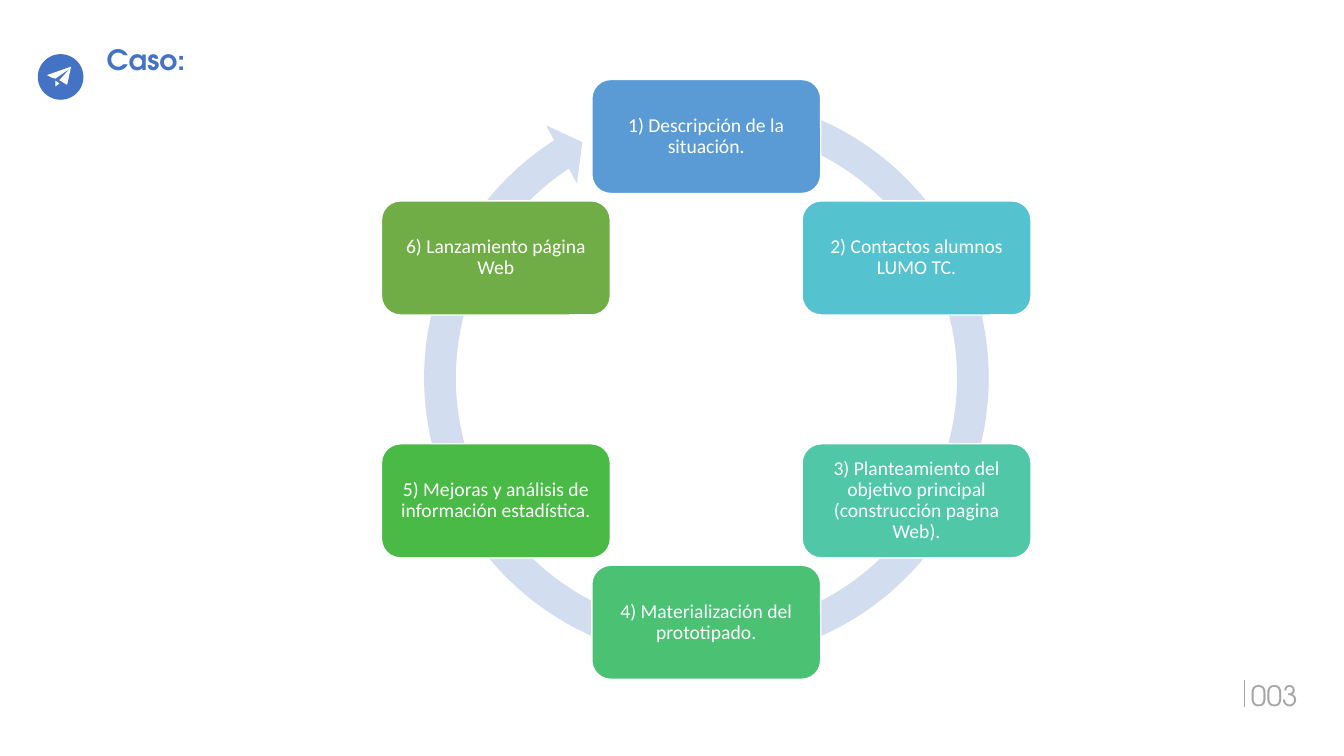
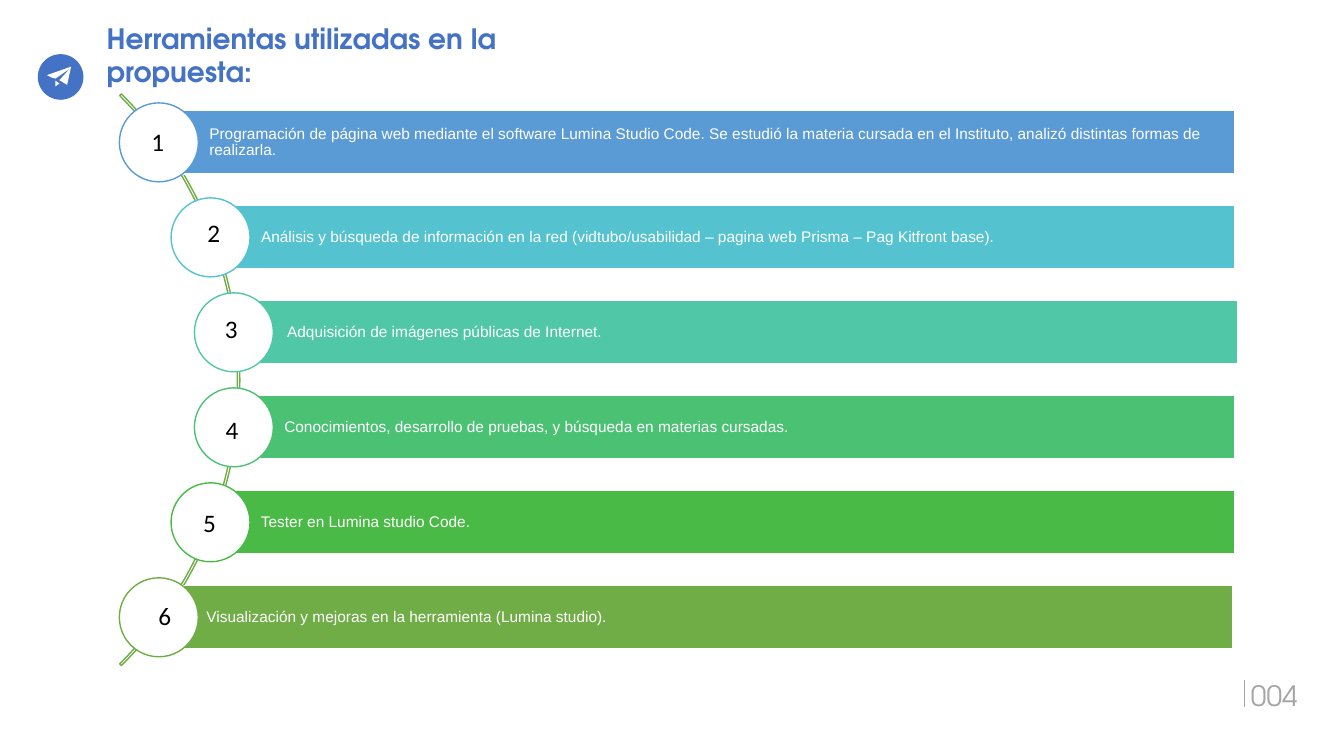
from math import cos, radians, sin, sqrt

from lxml.etree import SubElement
from pptx import Presentation
from pptx.dml.color import RGBColor
from pptx.enum.shapes import MSO_CONNECTOR, MSO_SHAPE as Shape
from pptx.enum.text import MSO_ANCHOR as Anchor, MSO_AUTO_SIZE as AutoSize, PP_ALIGN as Align
from pptx.oxml.ns import qn
from pptx.util import Pt

BLUE, GREY, WHITE, BLACK = "4472C4", "A5A5A5", "FFFFFF", "000000"
RING, ARC_GREEN = "D2DEEF", "70AD47"
STEP_COLOURS = ["5B9BD5", "55C3CF", "50C8A7", "4BC174", "4ABA46", "70AD47"]
HEADING_FONT, STEP_FONT, BAR_FONT = "TeX Gyre Adventor", "Calibri", "Arial"

PLANE_WING = [(50.8, 47.6), (33.5, 53.7), (36.7, 55.3), (39.6, 56.2),
              (50.2, 48.8), (42.4, 57.3), (48, 60.6)]
PLANE_TAIL = [(39.6, 57.6), (39.6, 61.8), (42.5, 59.6)]

STEPS = [
    "1) Descripción de la situación.",
    "2) Contactos alumnos LUMO TC.",
    "3) Planteamiento del objetivo principal (construcción pagina Web).",
    "4) Materialización del prototipado.",
    "5) Mejoras y análisis de información estadística.",
    "6) Lanzamiento página Web",
]

# Text, sideways shift of the bar, left and top of the number
TOOLS = [
    ("Programación de página web mediante el software Lumina Studio Code. Se estudió la "
     "materia cursada en el Instituto, analizó distintas formas de realizarla.", 0, 101, 86.5),
    ("Análisis y búsqueda de información en la red (vidtubo/usabilidad – pagina web Prisma "
     "– Pag Kitfront base).", 0, 141, 152),
    ("Adquisición de imágenes públicas de Internet.", 2, 153.5, 220.5),
    ("Conocimientos, desarrollo de pruebas, y búsqueda en materias cursadas.", 0, 154, 292.5),
    ("Tester en Lumina studio Code.", 0, 138, 358.5),
    ("Visualización y mejoras en la herramienta (Lumina studio).", -2, 106, 425),
]


def colour(hex_code):
    return RGBColor.from_string(hex_code)


def place(shape, left, top, width, height):
    shape.left, shape.top, shape.width, shape.height = map(Pt, (left, top, width, height))


def paint(shape, fill=None, line=None, line_width=1):
    """Set fill and outline; None means there is none."""
    shape.shadow.inherit = False
    if fill:
        shape.fill.solid()
        shape.fill.fore_color.rgb = colour(fill)
    else:
        shape.fill.background()
    if line:
        shape.line.color.rgb = colour(line)
        shape.line.width = Pt(line_width)
    else:
        shape.line.fill.background()


def add_figure(slide, kind, box, fill=None, line=None, adjustments=()):
    shape = slide.shapes.add_shape(kind, *map(Pt, box))
    for index, value in enumerate(adjustments):
        shape.adjustments[index] = value
    paint(shape, fill, line)
    return shape


def write(shape, text, size, font, hex_code, align=Align.LEFT, anchor=Anchor.TOP,
          insets=(7.2, 3.6, 7.2, 3.6), bold=False, spacing=1.0):
    frame = shape.text_frame
    frame.word_wrap = True
    frame.auto_size = AutoSize.NONE
    frame.vertical_anchor = anchor
    (frame.margin_left, frame.margin_top,
     frame.margin_right, frame.margin_bottom) = map(Pt, insets)
    paragraph = frame.paragraphs[0]
    paragraph.alignment = align
    paragraph.line_spacing = spacing
    run = paragraph.add_run()
    run.text = text
    run.font.size = Pt(size)
    run.font.name = font
    run.font.bold = bold
    run.font.color.rgb = colour(hex_code)


def add_label(slide, box, text, *style, **options):
    write(slide.shapes.add_textbox(*map(Pt, box)), text, *style, **options)


def add_line(slide, start, end, hex_code, width):
    line = slide.shapes.add_connector(MSO_CONNECTOR.STRAIGHT, *map(Pt, start + end))
    line.line.color.rgb = colour(hex_code)
    line.line.width = Pt(width)
    SubElement(line._element.spPr, qn("a:effectLst"))


def add_badge(slide):
    """Paper plane on a round ground."""
    add_figure(slide, Shape.OVAL, (27, 38.7, 32.6, 32.6), BLUE)
    wing, tail = [[(Pt(x), Pt(y)) for x, y in outline] for outline in (PLANE_WING, PLANE_TAIL)]
    builder = slide.shapes.build_freeform(*wing[0], scale=1.0)
    builder.add_line_segments(wing[1:], close=True)
    builder.move_to(*tail[0])
    builder.add_line_segments(tail[1:], close=True)
    paint(builder.convert_to_shape(), WHITE)


def add_slide(presentation, title, title_top, title_height, number):
    """Slide with the shared badge, title style and page number."""
    slide = presentation.slides.add_slide(presentation.slide_layouts.get_by_name("Title Only"))
    place(slide.shapes.title, 69, title_top, 394, title_height)
    write(slide.shapes.title, title, 20, HEADING_FONT, BLUE, bold=True)
    add_badge(slide)
    add_label(slide, (857, 481, 77, 31.5), number, 20, HEADING_FONT, GREY, align=Align.RIGHT)
    add_line(slide, (888.5, 486), (888.5, 504.7), GREY, 0.5)
    return slide


def add_cycle(slide):
    """Steps at equal angles round a circular arrow."""
    centre_x, centre_y, radius = 504.5, 271, 173.5
    width, height = 163.5, 81.5
    add_figure(slide, Shape.CIRCULAR_ARROW, (290.8, 56.2, 427.7, 427.7), RING,
               adjustments=(0.053, 3.126, 142.226, 171.303, 0.055))
    for index, (text, fill) in enumerate(zip(STEPS, STEP_COLOURS)):
        angle = radians(index * 360 / len(STEPS))
        left = centre_x + radius * sin(angle) - width / 2
        top = centre_y - radius * cos(angle) - height / 2
        box = add_figure(slide, Shape.ROUNDED_RECTANGLE, (left, top, width, height), fill, WHITE)
        write(box, text, 14, STEP_FONT, WHITE, Align.CENTER, Anchor.MIDDLE,
              insets=(4.2,) * 4, spacing=0.9)


def add_curved_list(slide):
    """Numbered bars that start on a circular arc."""
    arc_x, arc_y, arc_radius, track_radius = -117.4, 271.3, 288.7, 286.5
    first_y, pitch = 101.7, 67.85
    bar_right, bar_height, dot = 882.3, 45.2, 56.4
    add_figure(slide, Shape.BLOCK_ARC,
               (arc_x - arc_radius, arc_y - arc_radius, 2 * arc_radius, 2 * arc_radius),
               line=ARC_GREEN, adjustments=(189, 27, 0.003))
    for index, ((text, shift, _, _), fill) in enumerate(zip(TOOLS, STEP_COLOURS)):
        y = first_y + index * pitch
        x = arc_x + sqrt(track_radius ** 2 - (y - arc_y) ** 2)
        bar = add_figure(slide, Shape.RECTANGLE,
                         (x + shift, y - bar_height / 2, bar_right - x, bar_height), fill, WHITE)
        write(bar, text, 11, BAR_FONT, WHITE, anchor=Anchor.MIDDLE,
              insets=(36, 2.2, 2.2, 2.2), spacing=0.9)
        add_figure(slide, Shape.OVAL, (x - dot / 2, y - dot / 2, dot, dot), WHITE, fill)
    for number, (_, _, left, top) in enumerate(TOOLS, start=1):
        add_label(slide, (left, top, 26, 29), str(number), 18, STEP_FONT, BLACK)


def main():
    presentation = Presentation()
    presentation.slide_width, presentation.slide_height = Pt(960), Pt(540)
    add_cycle(add_slide(presentation, "Caso:", 26.5, 31.5, "003"))
    add_curved_list(add_slide(presentation, "Herramientas utilizadas en la propuesta:",
                              11.5, 55.5, "004"))
    presentation.save("out.pptx")


if __name__ == "__main__":
    main()
